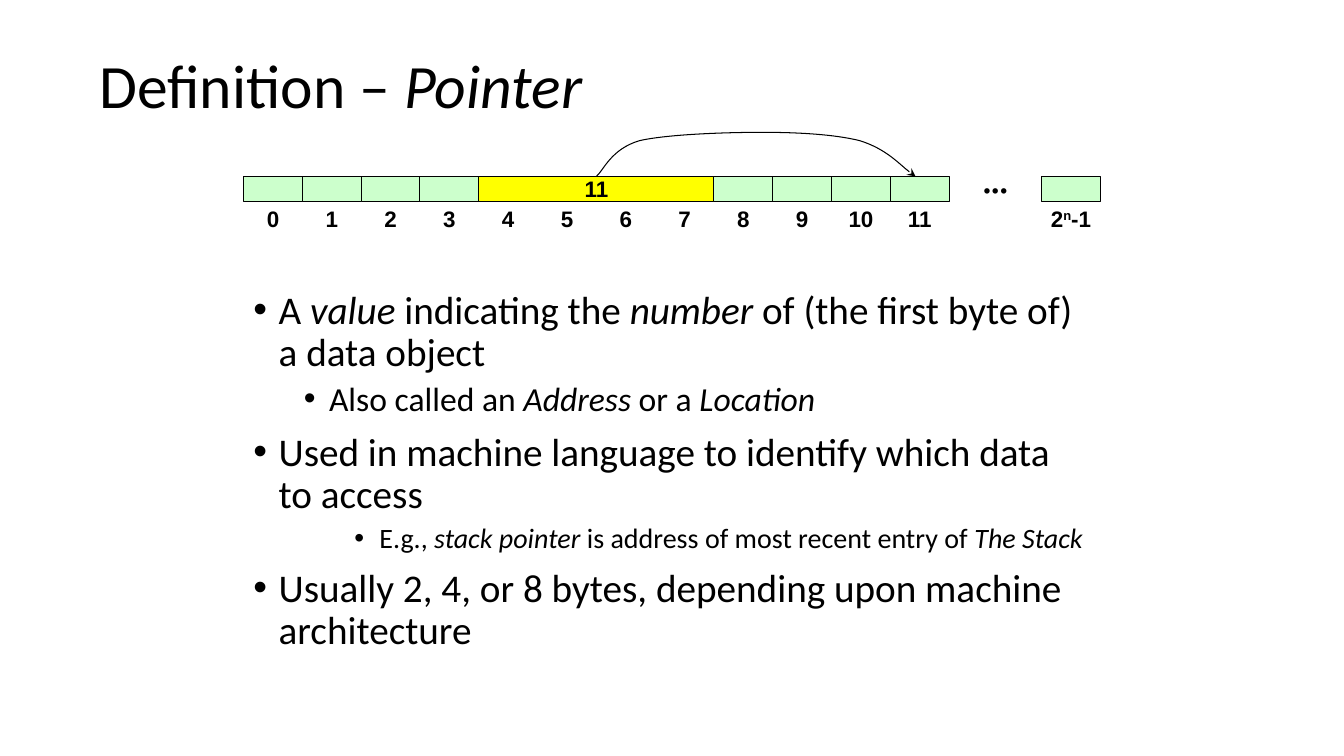
from lxml.etree import SubElement
from pptx import Presentation
from pptx.dml.color import RGBColor
from pptx.enum.shapes import MSO_SHAPE as Shape
from pptx.enum.text import MSO_ANCHOR as Anchor, PP_ALIGN as Align
from pptx.oxml.ns import qn
from pptx.util import Pt

PX = 9525
COLORS = {"ink": "000000", "byte": "CCFFCC", "pointer": "FFFF00"}
CELL_W, CELL_H = 56, 24
POINTER_FIRST, POINTER_SIZE, TARGET = 4, 4, 11
BULLET_SIZES = [28, 24, 20]

# Each run is its text and its style: "" plain, "i" italic, "^" superscript
BULLETS = [
    (0, [("A ", ""), ("value", "i"), (" indicating the ", ""), ("number", "i"),
         (" of (the first byte of) a data object", "")]),
    (1, [("Also called an ", ""), ("Address ", "i"), ("or a", ""), (" Location", "i")]),
    (0, [("Used in machine language to identify which data to access", "")]),
    (2, [("E.g., ", ""), ("stack pointer", "i"),
         (" is address of most recent entry of ", ""), ("The Stack", "i")]),
    (0, [("Usually 2, 4, or 8 bytes, depending upon machine architecture", "")]),
]


def emu(*lengths):
    return [round(length * PX) for length in lengths]


def rgb(name):
    return RGBColor.from_string(COLORS[name])


def add_runs(paragraph, runs, size, font="Calibri", bold=False):
    for text, style in runs:
        run = paragraph.add_run()
        run.text = text
        run.font.name, run.font.size, run.font.bold = font, Pt(size), bold
        run.font.italic = style == "i"
        run.font.color.rgb = rgb("ink")
        if style == "^":
            run._r.get_or_add_rPr().set("baseline", "30000")


def text_frame(slide, box, anchor=Anchor.TOP):
    frame = slide.shapes.add_textbox(*emu(*box)).text_frame
    frame.word_wrap = True
    frame.vertical_anchor = anchor
    return frame


def add_label(slide, box, runs, size=16, font="Arial"):
    """Centre one bold line in a box without insets."""
    frame = text_frame(slide, box, Anchor.MIDDLE)
    frame.word_wrap = False
    frame.margin_left = frame.margin_right = frame.margin_top = frame.margin_bottom = 0
    frame.paragraphs[0].alignment = Align.CENTER
    add_runs(frame.paragraphs[0], runs, size, font, bold=True)


def outline(shape):
    shape.shadow.inherit = False
    shape.line.color.rgb = rgb("ink")
    shape.line.width = Pt(0.75)


def add_cell(slide, left, top, width, color):
    cell = slide.shapes.add_shape(Shape.RECTANGLE, *emu(left, top, width, CELL_H))
    outline(cell)
    cell.fill.solid()
    cell.fill.fore_color.rgb = rgb(color)
    return cell


def add_byte(slide, left, top, address):
    add_cell(slide, left, top, CELL_W, "byte")
    add_address(slide, left, top, address)


def add_address(slide, left, top, address):
    add_label(slide, (left, top + 27, CELL_W, 26), address)


def add_pointer_arrow(slide, left, top):
    """Draw a curved arrow that starts at (left, top)."""
    controls = [(7, -6), (14, -26), (41, -34), (67, -40), (122, -42), (158, -42),
                (192, -42), (227, -40), (251, -34), (276, -26), (293, -7), (304, 0)]
    builder = slide.shapes.build_freeform(*emu(left, top), scale=1.0)
    builder.add_line_segments([emu(left + x, top + y) for x, y in controls], close=False)
    arrow = builder.convert_to_shape()
    outline(arrow)
    arrow.fill.background()
    SubElement(arrow.line._get_or_add_ln(), qn("a:tailEnd"), type="stealth")

    # Every three straight steps become the control points of one Bézier curve
    curve_path = next(arrow._element.iter(qn("a:path")))
    steps = curve_path.findall(qn("a:lnTo"))
    for index, step in enumerate(steps):
        if index % 3 == 0:
            curve = SubElement(curve_path, qn("a:cubicBezTo"))
        curve.append(step[0])
        curve_path.remove(step)


def add_title(slide, box):
    paragraph = text_frame(slide, box, Anchor.MIDDLE).paragraphs[0]
    paragraph.line_spacing = 0.9
    add_runs(paragraph, [("Definition – ", ""), ("Pointer", "i")], 44)


def add_memory(slide, left, top):
    pointer_bytes = range(POINTER_FIRST, POINTER_FIRST + POINTER_SIZE)
    for number in range(TARGET + 1):
        add_part = add_address if number in pointer_bytes else add_byte
        add_part(slide, left + number * CELL_W, top, [(str(number), "")])

    add_label(slide, (left + 688, top, CELL_W, CELL_H), [("∙∙∙", "")], 24, "Times New Roman")
    add_byte(slide, left + 760, top, [("2", ""), ("n", "^"), ("-1", "")])

    pointer_left, pointer_width = left + POINTER_FIRST * CELL_W, POINTER_SIZE * CELL_W
    pointer = add_cell(slide, pointer_left, top, pointer_width, "pointer").text_frame
    pointer.word_wrap = False
    pointer.vertical_anchor = Anchor.MIDDLE
    pointer.paragraphs[0].alignment = Align.CENTER
    add_runs(pointer.paragraphs[0], [(str(TARGET), "")], 16, "Arial", bold=True)
    add_pointer_arrow(slide, pointer_left + pointer_width / 2, top)


def add_bullets(slide, box):
    frame = text_frame(slide, box)
    for index, (level, runs) in enumerate(BULLETS):
        paragraph = frame.add_paragraph() if index else frame.paragraphs[0]
        paragraph.level = level
        paragraph.line_spacing = 0.9
        paragraph.space_before = Pt(5 if level else 10)
        properties = paragraph._p.get_or_add_pPr()
        margin, indent = emu(24 + 48 * level, -24)
        properties.set("marL", str(margin))
        properties.set("indent", str(indent))
        SubElement(properties, qn("a:buFont"), typeface="Arial")
        SubElement(properties, qn("a:buChar"), char="•")
        add_runs(paragraph, runs, BULLET_SIZES[level])


def main():
    deck = Presentation()
    deck.slide_width, deck.slide_height = emu(1280, 720)
    slide = deck.slides.add_slide(deck.slide_layouts[6])
    add_title(slide, (85, 32, 1088, 104))
    add_bullets(slide, (232, 272, 816, 376))
    add_memory(slide, 232, 168)
    deck.save("out.pptx")


if __name__ == "__main__":
    main()
